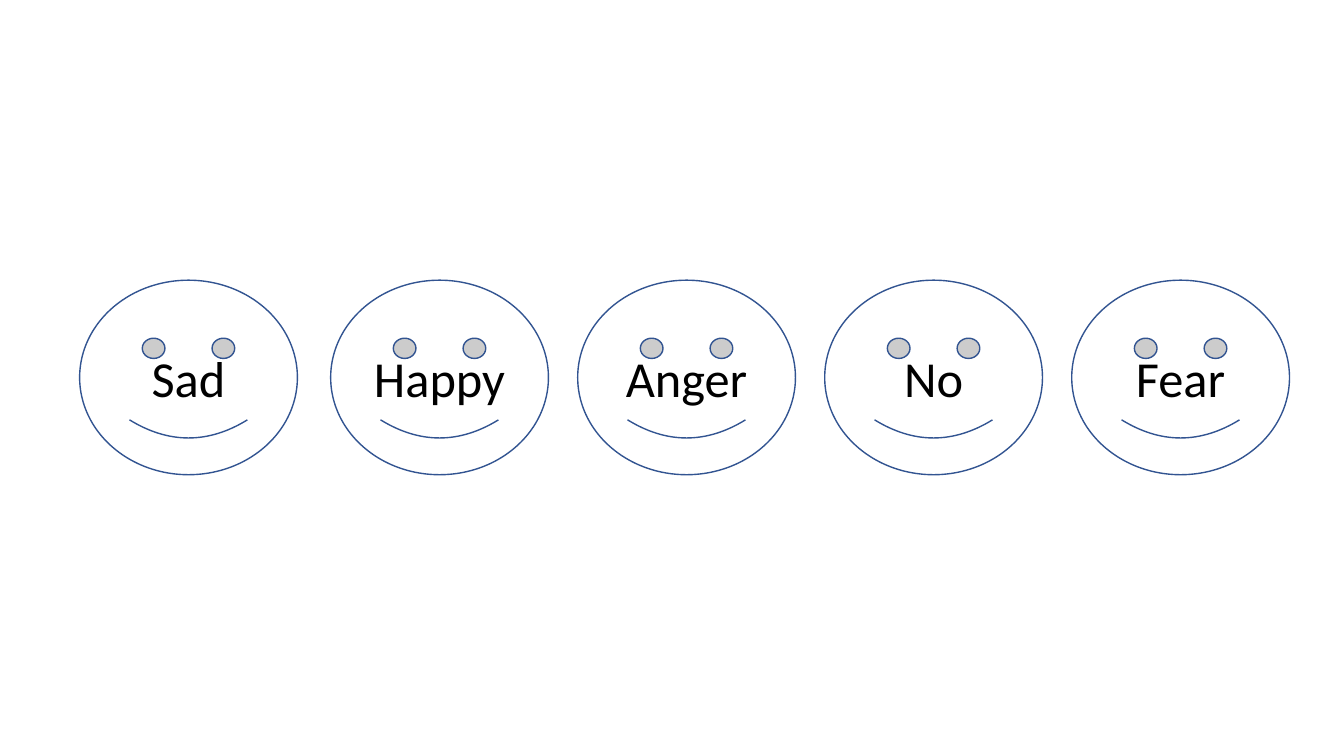
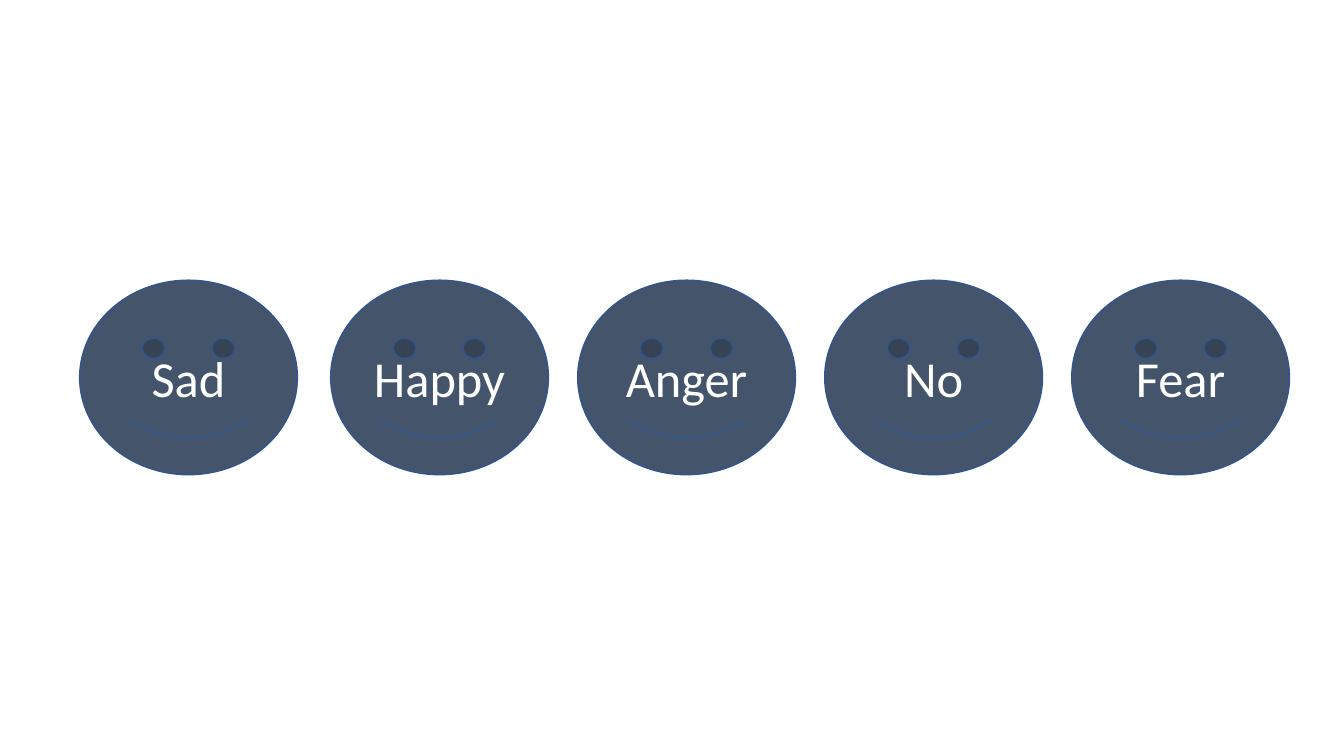
from pptx import Presentation
from pptx import util as u
from pptx.dml.color import RGBColor
from pptx.enum import shapes, text

WHITE = RGBColor(0xFF, 0xFF, 0xFF)
BLACK = RGBColor(0, 0, 0)
SLATE = RGBColor(0x44, 0x54, 0x6A)
BLUE = RGBColor(0x32, 0x54, 0x91)

MOODS = ["Sad", "Happy", "Anger", "No", "Fear"]
THEMES = [(WHITE, BLACK), (SLATE, WHITE)]
FONT = {"name": "Calibri", "size": u.Pt(36)}
WIDTH, HEIGHT = 2.16, 1.93
TOP = 2.78
FIRST, SECOND, STEP = 0.79, 3.28, 2.45


def style(item, values):
    for key, value in values.items():
        setattr(item, key, value)


def add_face(slide, box, mood, fill, ink):
    face = slide.shapes.add_shape(
        shapes.MSO_SHAPE.SMILEY_FACE, *map(u.Inches, box))
    face.shadow.inherit = False
    face.fill.solid()
    face.fill.fore_color.rgb = fill
    face.line.color.rgb = BLUE
    face.line.width = u.Pt(1)
    frame = face.text_frame
    style(frame, {"text": mood, "vertical_anchor": text.MSO_ANCHOR.MIDDLE})
    line = frame.paragraphs[0]
    line.alignment = text.PP_ALIGN.CENTER
    font = line.runs[0].font
    style(font, FONT)
    font.color.rgb = ink


def add_row(deck, fill, ink):
    slide = deck.slides.add_slide(deck.slide_layouts[6])
    lefts = [FIRST] + [SECOND + STEP * i for i in range(len(MOODS) - 1)]
    for left, mood in zip(lefts, MOODS):
        add_face(slide, (left, TOP, WIDTH, HEIGHT), mood, fill, ink)


def main():
    deck = Presentation()
    style(deck, {"slide_width": u.Inches(13.33),
                 "slide_height": u.Inches(7.5)})
    for fill, ink in THEMES:
        add_row(deck, fill, ink)
    deck.save("out.pptx")


if __name__ == "__main__":
    main()
